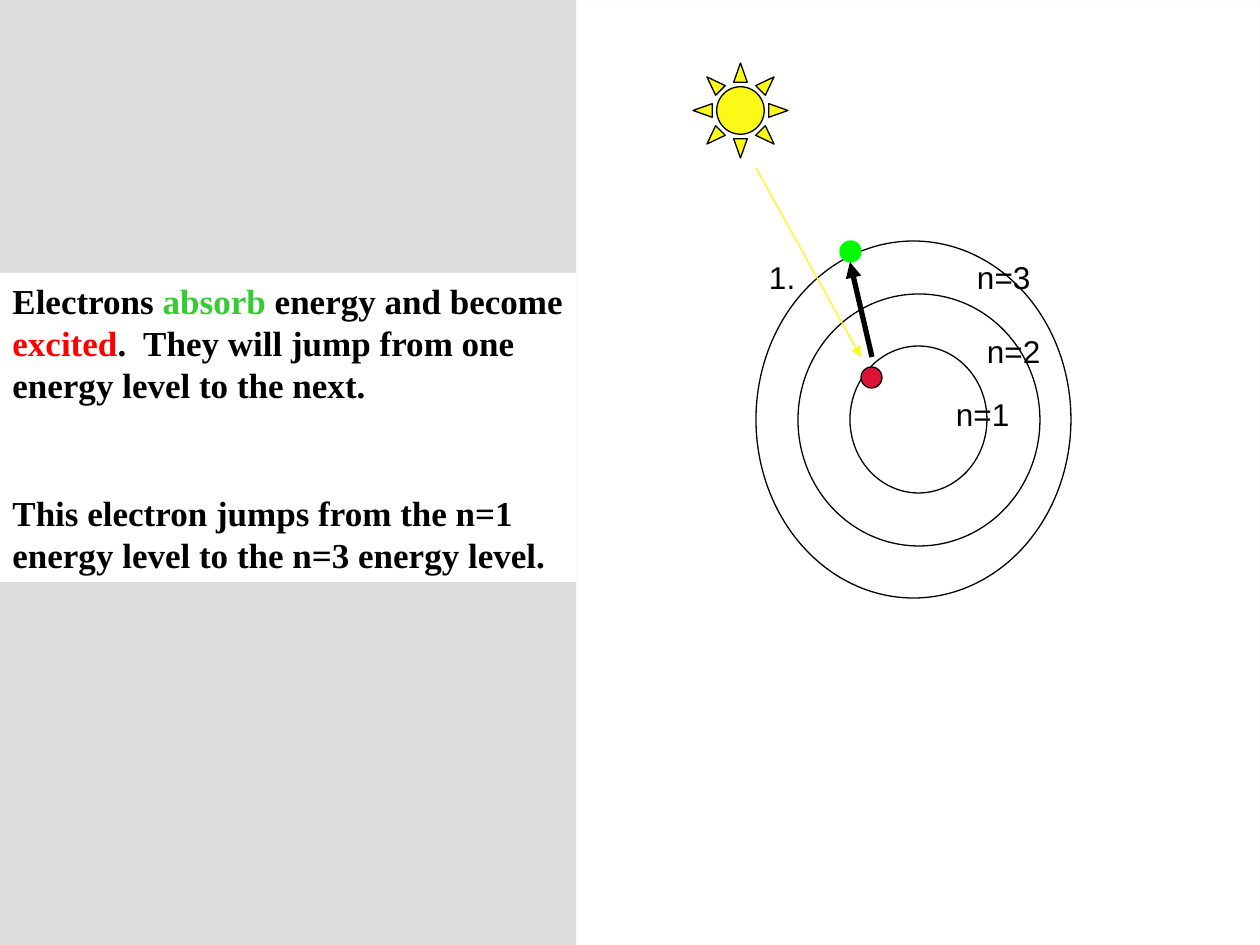
from pptx import Presentation, util as u
from pptx.dml.color import RGBColor
from pptx.enum import shapes as kinds, text as layout
from pptx.oxml.ns import qn
from lxml import etree

SCALE = 914400 / 126  # EMU per px
BLACK, WHITE, SUNLIGHT, GREEN = "000000", "FFFFFF", "FBF918", "00FF00"
OVAL = kinds.MSO_SHAPE.OVAL


def px(*lengths):
    return [u.Emu(round(n * SCALE)) for n in lengths]


def paint(target, color):
    """Set a solid colour on a fill, line fill or font."""
    if hasattr(target, "solid"):
        target.solid()
        target.fore_color.rgb = RGBColor.from_string(color)
    else:
        target.color.rgb = RGBColor.from_string(color)


prs = Presentation()
prs.slide_width, prs.slide_height = px(1260, 945)
slide = prs.slides.add_slide(prs.slide_layouts[6])
paint(slide.background.fill, "DDDDDD")

# Explanation on the left
caption = slide.shapes.add_textbox(*px(0, 273, 588, 309))
paint(caption.fill, WHITE)
frame = caption.text_frame
frame.word_wrap = True
explanation = [
    [("Electrons ", BLACK), ("absorb", "33CC33"), (" energy and become ", BLACK),
     ("excited", "FF0000"),
     (".  They will jump from one energy level to the next.", BLACK)],
    [("This electron jumps from the n=1 energy level to the n=3 energy level.", BLACK)],
]
for i, pieces in enumerate(explanation):
    paragraph = frame.add_paragraph() if i else frame.paragraphs[0]
    if i:
        paragraph.space_before = u.Pt(49)
    paragraph.font.name = "Times New Roman"
    paragraph.font.size = u.Pt(20)
    paragraph.font.bold = True
    for wording, color in pieces:
        run = paragraph.add_run()
        run.text = wording
        paint(run.font, color)

# Panel, energy levels, electrons and sun, from back to front
figures = [
    (kinds.MSO_SHAPE.RECTANGLE, (577, 0, 683, 1008), WHITE, "FAFAFA"),
    (OVAL, (850, 346, 137, 147), WHITE, BLACK),     # n=1
    (OVAL, (798, 294, 242, 252), None, BLACK),      # n=2
    (OVAL, (756, 241, 315, 357), None, BLACK),      # n=3
    (OVAL, (861, 367, 21, 21), "DD1234", BLACK),    # electron before the jump
    (kinds.MSO_SHAPE.SUN, (693, 63, 95, 95), SUNLIGHT, BLACK),
    (OVAL, (840, 241, 21, 21), GREEN, GREEN),       # electron after the jump
]
for preset, place, fill, outline in figures:
    figure = slide.shapes.add_shape(preset, *px(*place))
    figure.shadow.inherit = False
    if fill:
        paint(figure.fill, fill)
    else:
        figure.fill.background()
    paint(figure.line.fill, outline)
    figure.line.width = u.Pt(0.75)

# Light ray and electron jump
for ends, color, width in [((756, 168, 861, 357), SUNLIGHT, 0.75),
                           ((872, 357, 850, 262), BLACK, 3)]:
    arrow = slide.shapes.add_connector(kinds.MSO_CONNECTOR.STRAIGHT, *px(*ends))
    paint(arrow.line.fill, color)
    arrow.line.width = u.Pt(width)
    etree.SubElement(arrow.line._get_or_add_ln(), qn("a:tailEnd"), type="triangle")
    etree.SubElement(arrow._element.spPr, qn("a:effectLst"))

# Step number and level labels
for wording, left, top, indent in [("1.", 756, 252, 13), ("n=1", 935, 389, 21),
                                   ("n=2", 966, 326, 21), ("n=3", 956, 252, 21)]:
    label = slide.shapes.add_textbox(*px(left, top, 105, 50))
    label.text_frame.word_wrap = True
    label.text_frame.vertical_anchor = layout.MSO_ANCHOR.TOP
    label.text_frame.margin_left = px(indent)[0]
    label.text_frame.text = wording
    font = label.text_frame.paragraphs[0].font
    font.name = "Arial"
    font.size = u.Pt(18)
    paint(font, BLACK)

prs.save("out.pptx")
